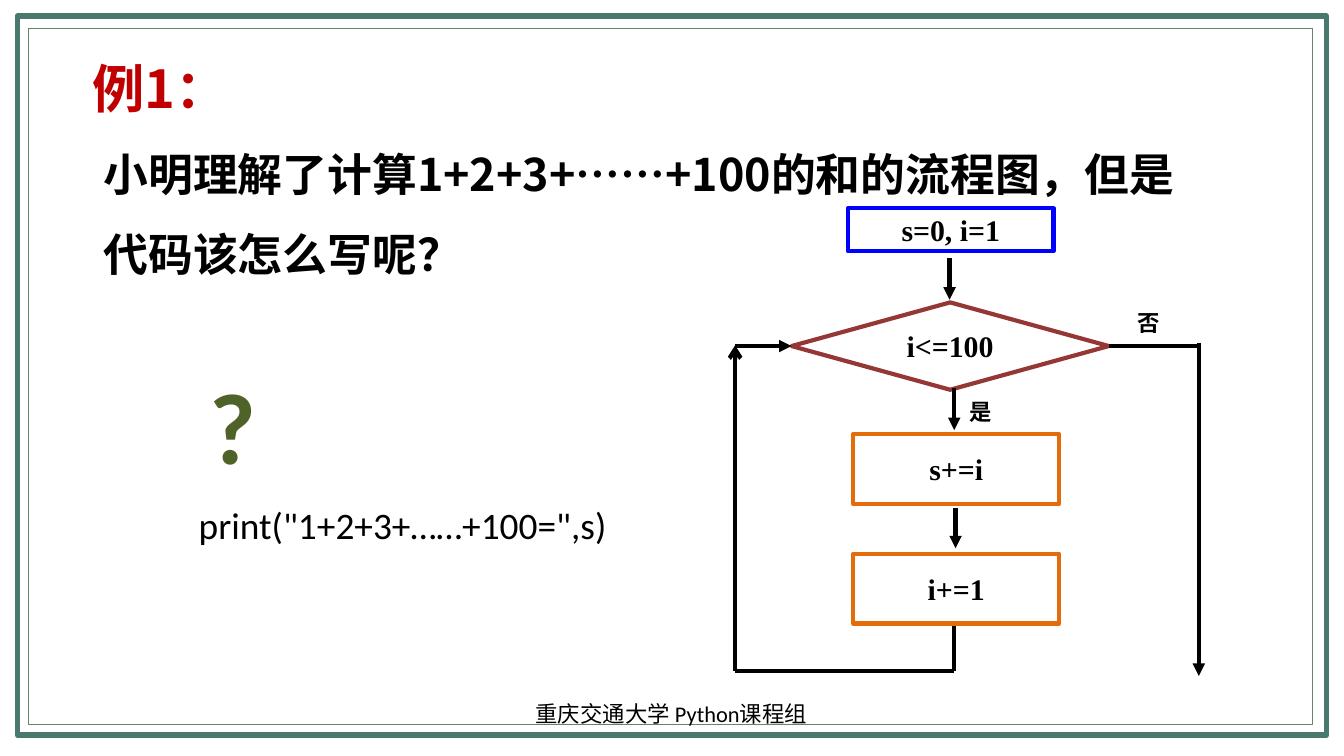
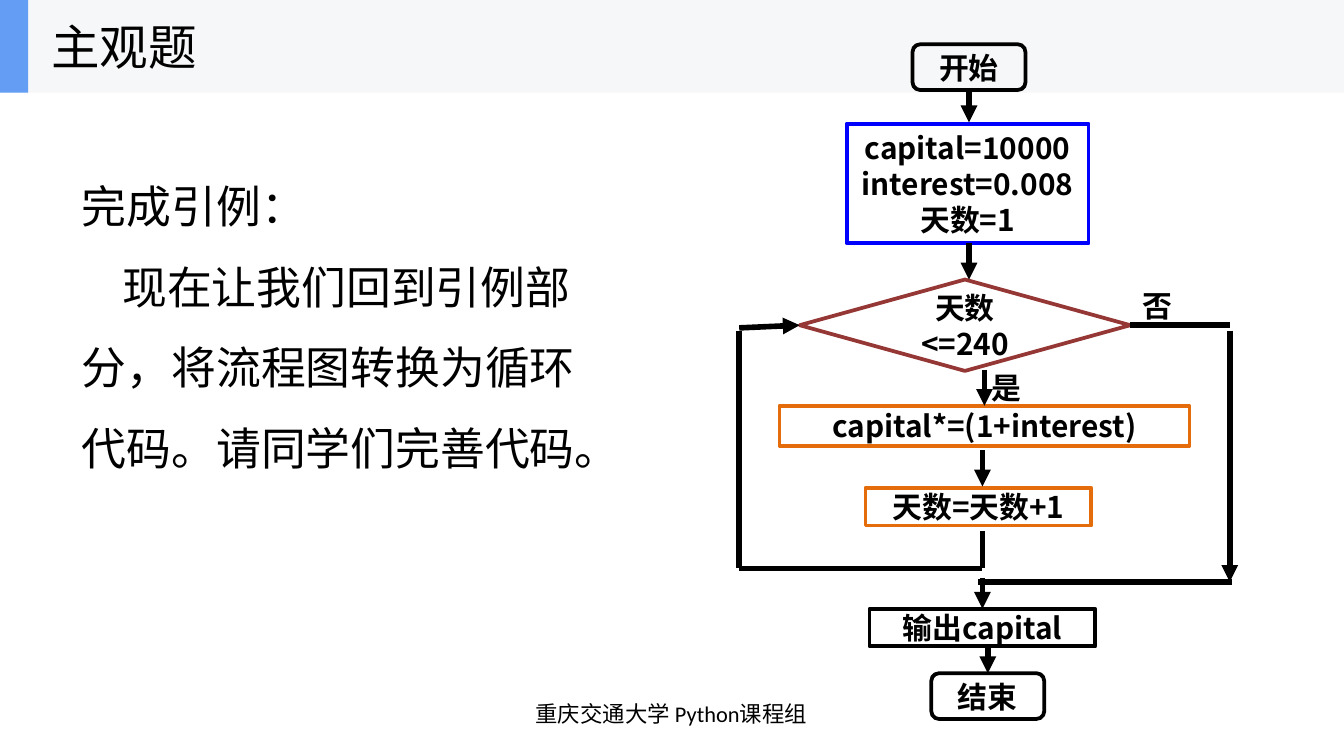
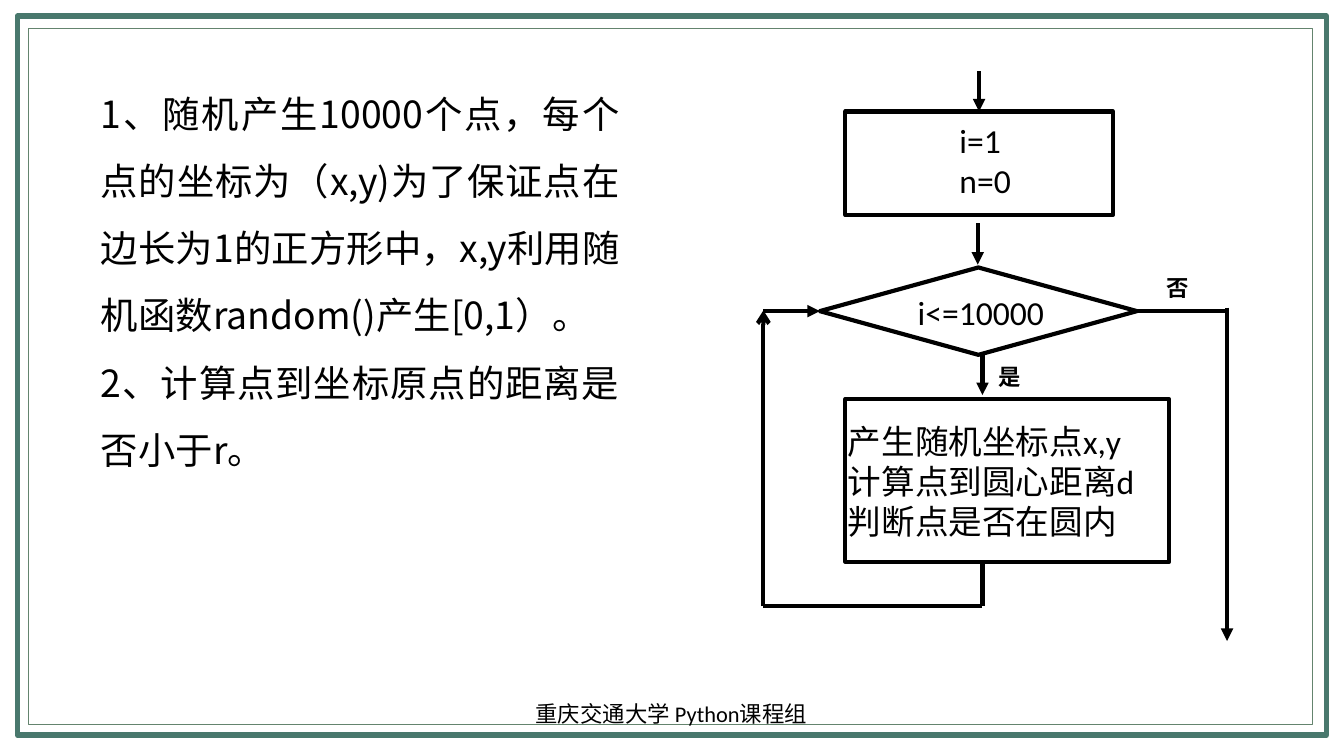
import pptx
import pptx.util
import pptx.dml.color
import pptx.enum.shapes
import pptx.enum.text
import pptx.oxml.ns
import lxml.etree

Color = pptx.dml.color.RGBColor
Form = pptx.enum.shapes.MSO_SHAPE
Align = pptx.enum.text.PP_ALIGN
Anchor = pptx.enum.text.MSO_ANCHOR
Pt = pptx.util.Pt
qn = pptx.oxml.ns.qn

BLACK = Color(0x00, 0x00, 0x00)
GREEN = Color(0x49, 0x78, 0x6D)
SAGE = Color(0x64, 0x84, 0x6E)
OLIVE = Color(0x4F, 0x62, 0x28)
RED = Color(0xC0, 0x00, 0x00)
BRICK = Color(0x95, 0x37, 0x35)
BLUE = Color(0x00, 0x00, 0xFF)
ORANGE = Color(0xE4, 0x6C, 0x0A)
PALE = Color(0xF6, 0xF7, 0xF8)
SKY = Color(0x63, 0x9E, 0xF4)

NOTO, TIMES, CALIBRI = "Noto Sans CJK SC", "Times New Roman", "Calibri"
COLS, ROWS = 100, 56.25
CELL = pptx.util.Inches(0.1)

CODE = {"name": TIMES, "size": Pt(16), "bold": True}
MARK = {"name": TIMES, "size": Pt(12), "bold": True}
STEP = {"name": NOTO, "size": Pt(16), "bold": True}
NOTE = {"name": CALIBRI, "size": Pt(18)}
MID = {"alignment": Align.CENTER}
WIDE = {"line_spacing": 1.5, "alignment": Align.LEFT}


def grid(*cells):
    return [round(cell * CELL) for cell in cells]


def assign(target, values):
    for name, value in values.items():
        setattr(target, name, value)


def write(frame, text, font, para, anchor, color=BLACK):
    assign(frame, {"word_wrap": True, "vertical_anchor": anchor,
                   "auto_size": pptx.enum.text.MSO_AUTO_SIZE.NONE})
    for row, words in enumerate(text.split("\n")):
        item = frame.add_paragraph() if row else frame.paragraphs[0]
        assign(item, para)
        run = item.add_run()
        run.text = words
        assign(run.font, font)
        run.font.color.rgb = color
        east = lxml.etree.SubElement(run.font._element, qn("a:ea"))
        east.set("typeface", NOTO)


def label(slide, at, text, font, para=MID, anchor=Anchor.MIDDLE, color=BLACK, pad=True):
    frame = slide.shapes.add_textbox(*grid(*at)).text_frame
    if not pad:
        assign(frame, dict.fromkeys(("margin_left", "margin_right",
                                     "margin_top", "margin_bottom"), 0))
    write(frame, text, font, para, anchor, color)


def place(holder, at, text, font, para, anchor=Anchor.TOP, color=BLACK, first=0):
    """Move a placeholder to the front and fill it with plain, unbulleted text."""
    assign(holder, dict(zip(("left", "top", "width", "height"), grid(*at))))
    holder.element.getparent().append(holder.element)
    write(holder.text_frame, text, font, {"space_before": Pt(0), **para}, anchor, color)
    for row, item in enumerate(holder.text_frame.paragraphs):
        props = item._p.get_or_add_pPr()
        props.set("marL", "0")
        props.set("indent", str(grid(first)[0] if row else 0))
        lxml.etree.SubElement(props, qn("a:buNone"))


def box(slide, at, color, text="", form=Form.RECTANGLE, width=2.25, font=CODE):
    shape = slide.shapes.add_shape(form, *grid(*at))
    shape.shadow.inherit = False
    shape.fill.background()
    shape.line.color.rgb = color
    shape.line.width = Pt(width)
    if text:
        write(shape.text_frame, text, font, MID, Anchor.MIDDLE)
    return shape


def band(slide, width, color):
    shape = slide.shapes.add_shape(Form.RECTANGLE, *grid(0, 0, width, 6.9))
    shape.shadow.inherit = False
    shape.fill.solid()
    shape.fill.fore_color.rgb = color
    shape.line.fill.background()


def line(slide, start, end, head=None, width=2.25, begin=None, finish=None):
    """Draw a line; begin and finish are (shape, site) pairs to join."""
    link = slide.shapes.add_connector(
        pptx.enum.shapes.MSO_CONNECTOR.STRAIGHT, *grid(*start, *end))
    link.line.color.rgb = BLACK
    link.line.width = Pt(width)
    if begin:
        link.begin_connect(*begin)
    if finish:
        link.end_connect(*finish)
    props = link.element.spPr
    if head:
        lxml.etree.SubElement(props.find(qn("a:ln")), qn("a:tailEnd")).set("type", head)
    lxml.etree.SubElement(props, qn("a:effectLst"))


def arrow(slide, start, end, **more):
    line(slide, start, end, "triangle", **more)


def border(slide):
    box(slide, (1.3, 1.2, 97.4, 53.5), GREEN, width=3)
    box(slide, (2.1, 2.1, 95.6, 51.8), SAGE, width=0.5)


def footer(slide):
    label(slide, (34.1, 51.6, 31.7, 3), "重庆交通大学 Python课程组",
          {"name": CALIBRI, "size": Pt(12)})


def loop(slide, x, y, color, text, back, base):
    """Draw a test at x, y with both exits and a way back from row back via row base."""
    test = box(slide, (x, y, 23.6, 6.5), color, text, Form.DIAMOND)
    mid, west, east, exit = y + 3.25, x - 4.2, x + 30.2, x + 12.1
    arrow(slide, (x + 11.75, y - 3.3), (x + 11.75, y - 0.2))
    arrow(slide, (exit, y + 6.4), (exit, y + 9.5))
    label(slide, (x + 11.75, y + 6.8, 4.7, 2.6), "是", MARK, pad=False)
    label(slide, (x + 24.25, y + 0.2, 4.7, 2.6), "否", MARK, pad=False)
    line(slide, (exit, back), (exit, base))
    line(slide, (west, base), (exit, base))
    line(slide, (west, base), (west, y + 3.2), "arrow")
    arrow(slide, (west, mid), (x, mid), finish=(test, 1))
    line(slide, (x + 23.6, mid), (east, mid), begin=(test, 3))
    arrow(slide, (x + 30.3, y + 3), (x + 30.3, y + 27.8))


def example(slide):
    border(slide)
    place(slide.placeholders[1], (6.7, 8.4, 82.7, 13.1),
          "小明理解了计算1+2+3+……+100的和的流程图，但是代码该怎么写呢？",
          {"name": NOTO, "size": Pt(24), "bold": True}, WIDE)
    place(slide.shapes.title, (5.9, 3.7, 44.1, 5.7), "例1：",
          {"name": NOTO, "size": Pt(28), "bold": True},
          {"alignment": Align.LEFT}, color=RED)
    label(slide, (13.8, 36.9, 44.1, 4.5), 'print("1+2+3+……+100=",s)',
          {"name": CALIBRI, "size": Pt(20)}, {}, Anchor.TOP)
    label(slide, (14.6, 26.6, 5.5, 10.1), "?",
          {"name": CALIBRI, "size": Pt(54), "bold": True}, MID, Anchor.TOP, OLIVE)
    box(slide, (63.1, 15.5, 15.3, 3.2), BLUE, "s=0, i=1")
    loop(slide, 58.9, 22.5, BRICK, "i<=100", 46.6, 49.9)
    for top, text in ((32.3, "s+=i"), (41.2, "i+=1")):
        box(slide, (63.5, top, 15.3, 5.2), ORANGE, text)
    arrow(slide, (71.1, 37.8), (71.1, 40.8))


def task(slide):
    place(slide.placeholders[1], (5.1, 9.8, 40, 27),
          "完成引例：\n现在让我们回到引例部分，将流程图转换为循环代码。请同学们完善代码。",
          {"name": NOTO, "size": Pt(24)}, WIDE, Anchor.MIDDLE, first=3)
    band(slide, COLS, PALE)
    band(slide, 2.1, SKY)
    place(slide.shapes.title, (2.8, 0, 20.8, 6.9), "主观题",
          {"name": NOTO, "size": Pt(26)}, {"alignment": Align.LEFT}, Anchor.MIDDLE)

    def node(at, color, text, form=Form.RECTANGLE):
        return box(slide, at, color, text, form, 2, STEP)

    start = node((67.9, 3.3, 8.4, 3.4), BLACK, "开始", Form.ROUNDED_RECTANGLE)
    node((63, 9.2, 18, 8.9), BLUE, "capital=10000\ninterest=0.008\n天数=1")
    test = node((59.5, 20.8, 24.6, 6.8), BRICK, "天数<=240", Form.DIAMOND)
    grow = node((58, 30.2, 30.5, 3), ORANGE, "capital*=(1+interest)")
    node((64.4, 36.3, 16.8, 2.8), ORANGE, "天数=天数+1")
    show = node((64.7, 45.3, 16.8, 2.8), BLACK, "输出capital")
    stop = node((69.3, 50.1, 8.4, 3.4), BLACK, "结束", Form.ROUNDED_RECTANGLE)

    for begin, finish, ends in (
            ((start, 2), None, ((72.1, 6.7), (72.1, 9.1))),
            (None, None, ((72.1, 18.1), (72.1, 20.8))),
            (None, (grow, 0), ((73.25, 27.5), (73.25, 30.2))),
            (None, None, ((73.1, 33.5), (73.1, 36.2))),
            (None, (test, 1), ((55, 24.4), (59.5, 24.2))),
            (None, None, ((91.5, 24.6), (91.5, 43.3))),
            (None, (show, 0), ((73.1, 43), (73.1, 45.3))),
            (None, (stop, 0), ((73.5, 47.9), (73.5, 50.1)))):
        arrow(slide, *ends, width=3, begin=begin, finish=finish)
    for begin, ends in (
            (None, ((73.1, 39.5), (73.1, 42.3))),
            (None, ((55, 42.3), (73.1, 42.3))),
            (None, ((55, 24.6), (55, 42.3))),
            ((test, 3), ((84.1, 24.2), (91.5, 24.2))),
            (None, ((72.8, 43.3), (91.7, 43.3)))):
        line(slide, *ends, width=3, begin=begin)
    label(slide, (72.8, 27.7, 4.1, 2.3), "是", STEP, pad=False)
    label(slide, (84.1, 21.6, 4.1, 2.3), "否", STEP, pad=False)


def points(slide):
    border(slide)
    title = slide.shapes.title.element
    title.getparent().remove(title)
    place(slide.placeholders[1], (6.5, 4.6, 40.6, 31.3),
          "1、随机产生10000个点，每个点的坐标为（x,y)为了保证点在边长为1的正方形中，"
          "x,y利用随机函数random()产生[0,1）。\n2、计算点到坐标原点的距离是否小于r。",
          {"name": NOTO, "size": Pt(20)}, {**WIDE, "alignment": Align.JUSTIFY})
    init = box(slide, (62.9, 8.3, 19.9, 7.7), BLACK)
    arrow(slide, (72.85, 5.3), (72.85, 8.3), finish=(init, 0))
    loop(slide, 61, 19.9, BLACK, "", 41.9, 45.1)
    box(slide, (62.9, 29.7, 24.1, 12.1), BLACK)
    for at, text in (
            ((70.4, 8.4, 19.5, 7.1), "i=1\nn=0"),
            ((67.3, 21.2, 14.7, 4), "i<=10000"),
            ((62.1, 30.8, 24.9, 10.1),
             "产生随机坐标点x,y\n计算点到圆心距离d\n判断点是否在圆内")):
        label(slide, at, text, NOTE, {}, Anchor.TOP)


def main():
    deck = pptx.Presentation()
    deck.slide_width, deck.slide_height = grid(COLS, ROWS)
    for draw in (example, task, points):
        slide = deck.slides.add_slide(deck.slide_layouts[1])
        draw(slide)
        footer(slide)
    deck.save("out.pptx")


if __name__ == "__main__":
    main()
